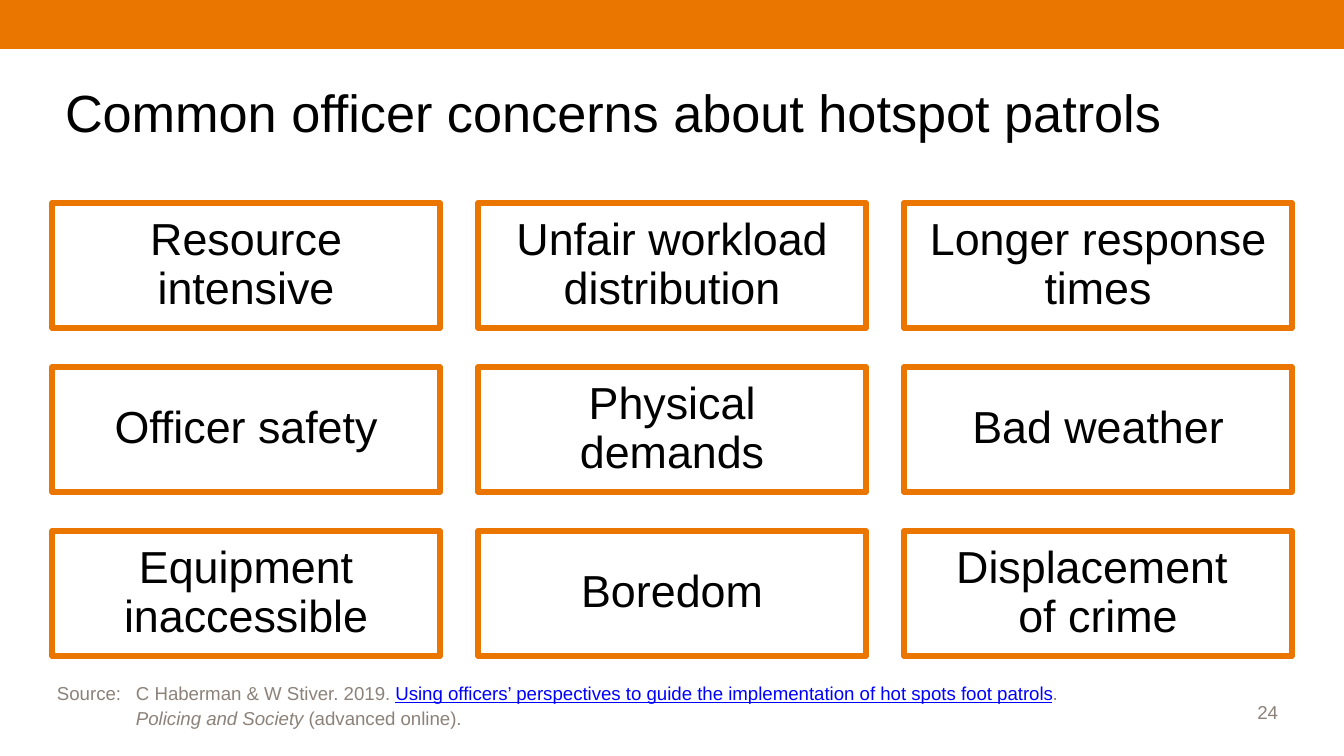
"""Build the slide on common officer concerns about hotspot patrols."""
from pptx import Presentation
from pptx.dml.color import RGBColor
from pptx.enum.shapes import MSO_SHAPE
from pptx.enum.text import MSO_ANCHOR, PP_ALIGN
from pptx.util import Pt

TITLE = "Common officer concerns about hotspot patrols"
CONCERNS = [
    ["Resource intensive", "Unfair workload distribution", "Longer response times"],
    ["Officer safety", "Physical demands", "Bad weather"],
    ["Equipment inaccessible", "Boredom", "Displacement \nof crime"],
]
PAGE_NUMBER = "24"

ORANGE = RGBColor(0xEA, 0x76, 0x00)
BLACK = RGBColor(0x00, 0x00, 0x00)
GREY = RGBColor(0x8C, 0x82, 0x79)
BLUE = RGBColor(0x00, 0x00, 0xFF)
WHITE = RGBColor(0xFF, 0xFF, 0xFF)

SOURCE = [
    ("Source:\tC Haberman & W Stiver. 2019. ", {}),
    ("Using officers’ perspectives to guide the implementation of hot spots foot patrols",
     {"color": BLUE, "underline": True}),
    (". ", {}),
    ("Policing and Society", {"italic": True}),
    (" (advanced online).", {}),
]

PX = 914400 / 134.4
LEFT, TOP = 52, 203
BOX_WIDTH, BOX_HEIGHT = 388, 125
COLUMN_STEP, ROW_STEP = 426, 164


def px(length):
    return round(length * PX)


def place(shape, left, top, width, height):
    shape.left, shape.top = px(left), px(top)
    shape.width, shape.height = px(width), px(height)


def add_box(slide, *bounds, fill=None, line=None):
    box = slide.shapes.add_shape(MSO_SHAPE.RECTANGLE, *map(px, bounds))
    box.shadow.inherit = False
    if fill is None:
        box.fill.background()
    else:
        box.fill.solid()
        box.fill.fore_color.rgb = fill
    if line is None:
        box.line.fill.background()
    else:
        box.line.color.rgb = line
        box.line.width = Pt(3)
    return box


def write(shape, text, *, size, color=BLACK, align=PP_ALIGN.LEFT,
          anchor=MSO_ANCHOR.MIDDLE, spacing=None, around=0, hanging=0, insets=(13, 7)):
    frame = shape.text_frame
    frame.word_wrap = True
    frame.vertical_anchor = anchor
    frame.margin_left = frame.margin_right = px(insets[0])
    frame.margin_top = frame.margin_bottom = px(insets[1])
    paragraph = frame.paragraphs[0]
    paragraph.alignment = align
    paragraph.line_spacing = spacing
    paragraph.space_before = paragraph.space_after = Pt(around)
    if hanging:
        properties = paragraph._p.get_or_add_pPr()
        properties.set("marL", str(px(hanging)))
        properties.set("indent", str(-px(hanging)))
    parts = [(text, {})] if isinstance(text, str) else text
    for words, style in parts:
        for index, line in enumerate(words.split("\n")):
            if index:
                paragraph.add_line_break()
            run = paragraph.add_run()
            run.text = line
            run.font.name = "Arial"
            run.font.size = Pt(size)
            run.font.color.rgb = style.get("color", color)
            run.font.underline = style.get("underline", False)
            run.font.italic = style.get("italic", False)


def main():
    deck = Presentation()
    deck.slide_width, deck.slide_height = px(1344), px(756)
    slide = deck.slides.add_slide(deck.slide_layouts[5])

    add_box(slide, 0, 0, 1344, 49, fill=ORANGE)
    title = slide.shapes.title
    place(title, LEFT, 52, 1238, 132)
    write(title, TITLE, size=28, spacing=Pt(27))

    for row, concerns in enumerate(CONCERNS):
        for column, concern in enumerate(concerns):
            box = add_box(slide, LEFT + column * COLUMN_STEP, TOP + row * ROW_STEP,
                          BOX_WIDTH, BOX_HEIGHT, line=ORANGE)
            write(box, concern, size=24, align=PP_ALIGN.CENTER, spacing=0.9, insets=(13, 13))

    source = add_box(slide, LEFT, 675, 1056, 59, fill=WHITE)
    write(source, SOURCE, size=10, color=GREY, spacing=1.1, hanging=79, insets=(5, 5))

    number = slide.shapes.add_textbox(*map(px, (1185, 671, 106, 59)))
    write(number, PAGE_NUMBER, size=10, color=GREY, align=PP_ALIGN.RIGHT,
          anchor=MSO_ANCHOR.BOTTOM)

    deck.save("out.pptx")


if __name__ == "__main__":
    main()
